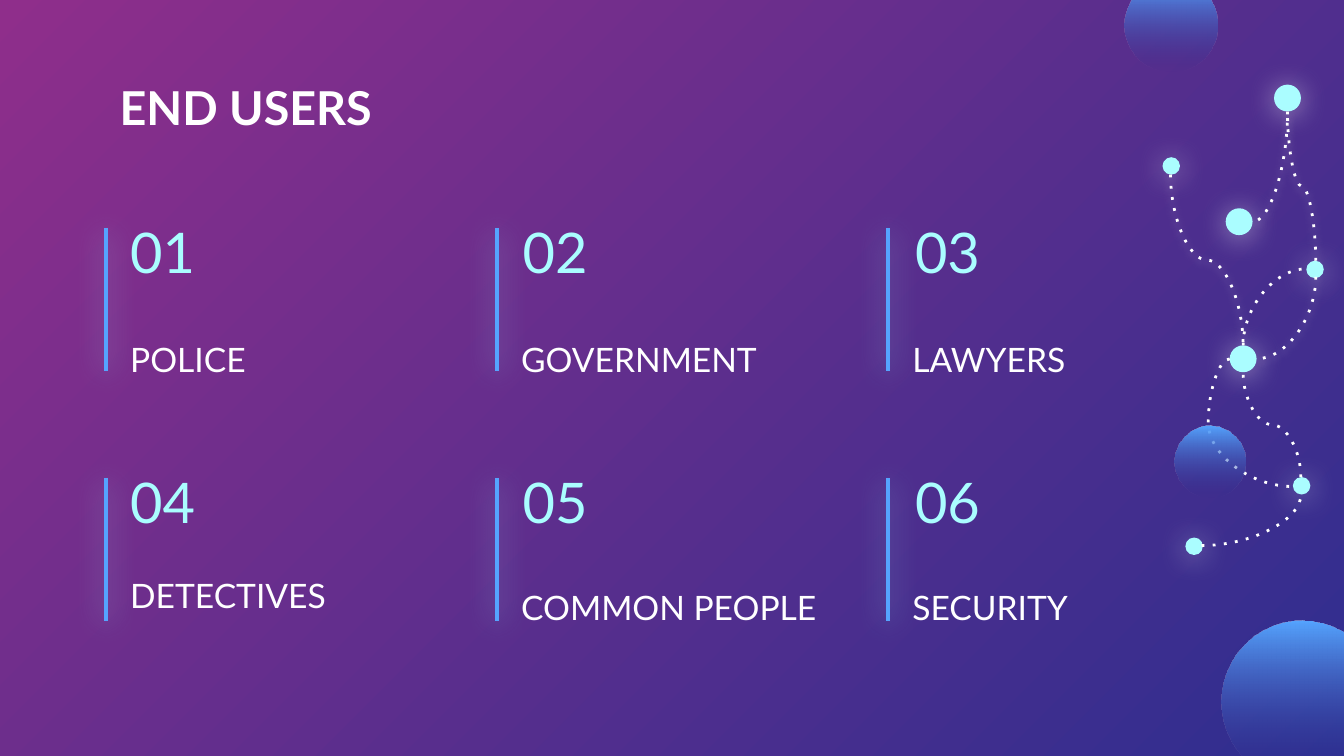
from lxml.etree import SubElement
from pptx import Presentation
from pptx.dml.color import RGBColor
from pptx.enum.dml import MSO_LINE
from pptx.enum.shapes import MSO_CONNECTOR, MSO_SHAPE
from pptx.enum.text import MSO_ANCHOR, MSO_AUTO_SIZE, PP_ALIGN
from pptx.oxml.ns import qn
from pptx.util import Inches, Pt

FONT = "Lato"
WHITE, AQUA, BLUE = "FFFFFF", "AAFDFF", "55A4FF"
PURPLE, INDIGO = "8F2E8B", "2E2E8F"

USERS = ["POLICE", "GOVERNMENT", "LAWYERS", "DETECTIVES", "COMMON PEOPLE", "SECURITY"]
LABEL_LIFT = {"DETECTIVES": 0.09}
LARGE_DOTS = [(9.12, 1.55), (9.15, 2.57), (9.48, 0.63)]
SMALL_DOTS = [(8.65, 1.17), (9.72, 1.94), (9.62, 3.55), (8.82, 4.0)]
SPHERES = [(8.37, -0.16, 0.69), (9.09, 4.62, 1.2), (8.74, 3.17, 0.53)]

VERTICAL_BENDS = [
    ((9.25, 2.57), (9.72, 2.0), False),
    ((9.79, 2.06), (9.35, 2.67), True),
    ((9.58, 0.83), (9.32, 1.65), True),
]
VERTICAL_WAVES = [
    ((8.71, 1.3), (9.25, 2.57), True),
    ((9.79, 1.94), (9.58, 0.83), True),
    ((9.68, 3.55), (9.25, 2.77), False),
]


def color(value):
    return RGBColor.from_string(value)


def set_glow(shape, value=None, blur=15.8):
    properties = shape._element.spPr
    effects = properties.find(qn("a:effectLst"))
    if effects is None:
        effects = SubElement(properties, qn("a:effectLst"))
    if value:
        shadow = SubElement(effects, qn("a:outerShdw"), blurRad=str(Pt(blur)),
                            dist=str(Pt(1.5)), dir="5400000", algn="bl", rotWithShape="0")
        tint = SubElement(shadow, qn("a:srgbClr"), val=value)
        SubElement(tint, qn("a:alpha"), val="50000")


def set_gradient(fill, start, end, angle):
    fill.gradient()
    fill.gradient_angle = 360 - angle
    for stop, value in zip(fill.gradient_stops, (start, end)):
        stop.color.rgb = color(value)


def set_text(shape, text, size, value, anchor, bold=False):
    frame = shape.text_frame
    frame.text = text
    frame.word_wrap = True
    frame.auto_size = MSO_AUTO_SIZE.NONE
    frame.vertical_anchor = anchor
    frame.margin_left = frame.margin_right = Inches(0.1)
    frame.margin_top = frame.margin_bottom = Inches(0.1)
    paragraph = frame.paragraphs[0]
    paragraph.alignment = PP_ALIGN.LEFT
    font = paragraph.runs[0].font
    font.name, font.size, font.bold = FONT, Pt(size), bold
    font.color.rgb = color(value)


def add_title(slide, text):
    title = slide.shapes.title
    title.left, title.top = Inches(0.79), Inches(0.49)
    title.width, title.height = Inches(8.43), Inches(0.63)
    set_text(title, text, 25, WHITE, MSO_ANCHOR.TOP, bold=True)


def add_label(slide, box, text, size, value, anchor):
    label = slide.shapes.add_textbox(*map(Inches, box))
    set_text(label, text, size, value, anchor)


def add_line(slide, kind, start, end, value, width):
    line = slide.shapes.add_connector(kind, *map(Inches, (*start, *end)))
    line.line.color.rgb = color(value)
    line.line.width = Pt(width)
    return line


def add_user(slide, index, name):
    row, column = divmod(index, 3)
    bar_x, bar_y = 0.79 + 2.91 * column, 1.7 + 1.86 * row
    bar = add_line(slide, MSO_CONNECTOR.STRAIGHT, (bar_x, bar_y), (bar_x, bar_y + 1.06), BLUE, 2.25)
    set_glow(bar, AQUA)
    add_label(slide, (0.87 + 2.92 * column, 1.62 + 1.86 * row, 1.12, 0.49),
              f"{index + 1:02}", 30, AQUA, MSO_ANCHOR.MIDDLE)
    label_y = 2.35 + 1.85 * row - LABEL_LIFT.get(name, 0)
    add_label(slide, (0.87 + 2.91 * column, label_y, 2.52, 0.57),
              name, 18, WHITE, MSO_ANCHOR.BOTTOM)


def add_circle(slide, left, top, size):
    circle = slide.shapes.add_shape(MSO_SHAPE.OVAL, *map(Inches, (left, top, size, size)))
    circle.line.fill.background()
    return circle


def add_dot(slide, left, top, size):
    dot = add_circle(slide, left, top, size)
    dot.fill.solid()
    dot.fill.fore_color.rgb = color(AQUA)
    set_glow(dot, WHITE)


def add_sphere(slide, left, top, size):
    sphere = add_circle(slide, left, top, size)
    sphere.shadow.inherit = False
    set_gradient(sphere.fill, BLUE, INDIGO, 90)
    faded = sphere._element.spPr.findall(".//" + qn("a:gs"))[-1]
    SubElement(faded[0], qn("a:alpha"), val="0")


def add_curve(slide, start, end, preset, glowing=False, adjustment=None):
    curve = add_line(slide, MSO_CONNECTOR.CURVE, start, end, WHITE, 1.5)
    curve.line.dash_style = MSO_LINE.ROUND_DOT
    properties = curve._element.spPr
    properties.find(".//" + qn("a:prstDash")).set("val", "dot")
    geometry = properties.find(qn("a:prstGeom"))
    geometry.set("prst", preset)
    if adjustment is not None:
        guides = geometry.find(qn("a:avLst"))
        SubElement(guides, qn("a:gd"), name="adj1", fmla=f"val {adjustment}")
    set_glow(curve, WHITE if glowing else None, 4.5)
    return curve


def add_vertical_curve(slide, start, end, preset, glowing):
    (x1, y1), (x2, y2) = start, end
    dx, dy = x2 - x1, y2 - y1
    center_x, center_y = (x1 + x2) / 2, (y1 + y2) / 2
    half_width, half_height = abs(dy) / 2, abs(dx) / 2
    if dx * dy > 0:
        half_width = -half_width
    curve = add_curve(slide, (center_x - half_width, center_y - half_height),
                      (center_x + half_width, center_y + half_height), preset, glowing)
    quarter_turns = 3 if dx > 0 else 1
    curve._element.spPr.find(qn("a:xfrm")).set("rot", str(quarter_turns * 5400000))


def add_network(slide):
    for left, top in LARGE_DOTS:
        add_dot(slide, left, top, 0.2)
    for left, top in SMALL_DOTS:
        add_dot(slide, left, top, 0.13)
    for preset, curves in (("curvedConnector2", VERTICAL_BENDS),
                           ("curvedConnector3", VERTICAL_WAVES)):
        for start, end, glowing in curves:
            add_vertical_curve(slide, start, end, preset, glowing)
    add_curve(slide, (9.15, 2.67), (9.62, 3.62), "curvedConnector3", adjustment=-34000)
    add_curve(slide, (8.94, 4.06), (9.68, 3.68), "curvedConnector2")
    for left, top, size in SPHERES:
        add_sphere(slide, left, top, size)


def main():
    presentation = Presentation()
    presentation.slide_width = Inches(10)
    presentation.slide_height = Inches(10 * 9 / 16)
    slide = presentation.slides.add_slide(presentation.slide_layouts[5])
    set_gradient(slide.background.fill, PURPLE, INDIGO, 45)
    add_title(slide, "END USERS")
    for index, name in enumerate(USERS):
        add_user(slide, index, name)
    add_network(slide)
    presentation.save("out.pptx")


if __name__ == "__main__":
    main()
